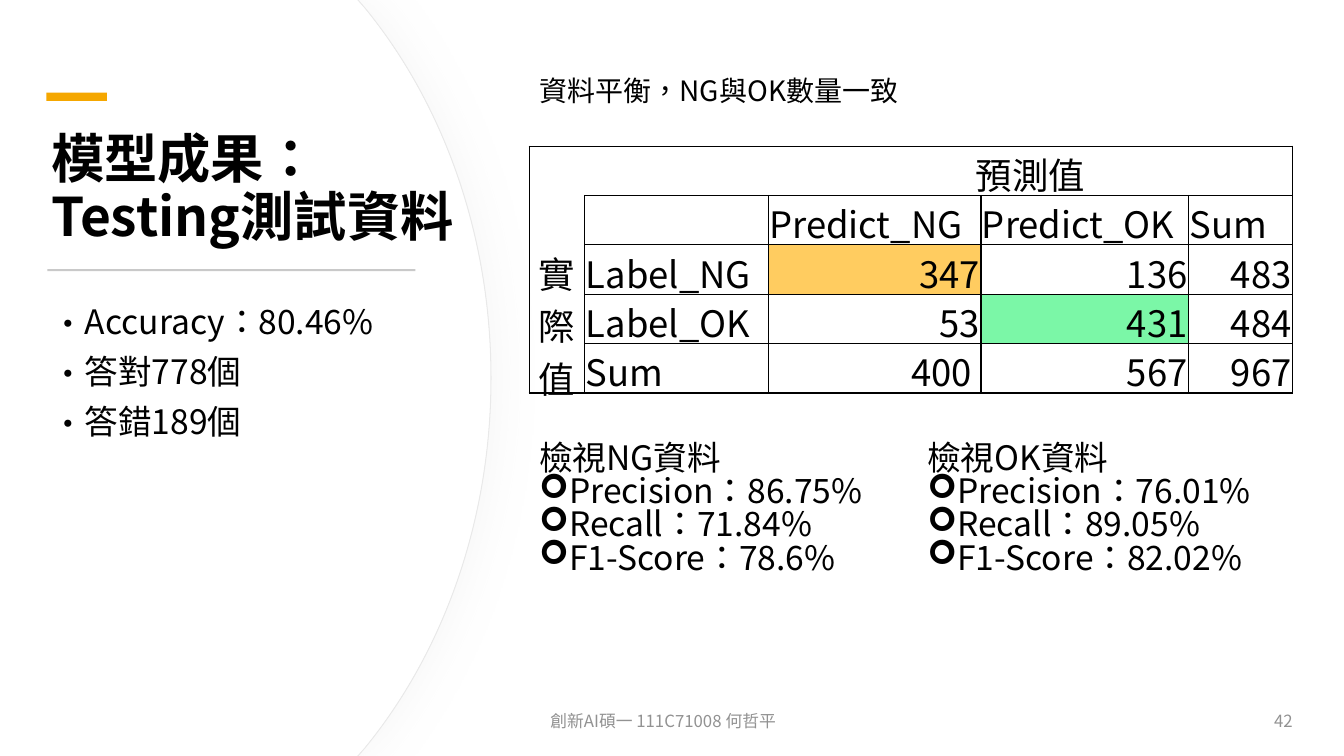
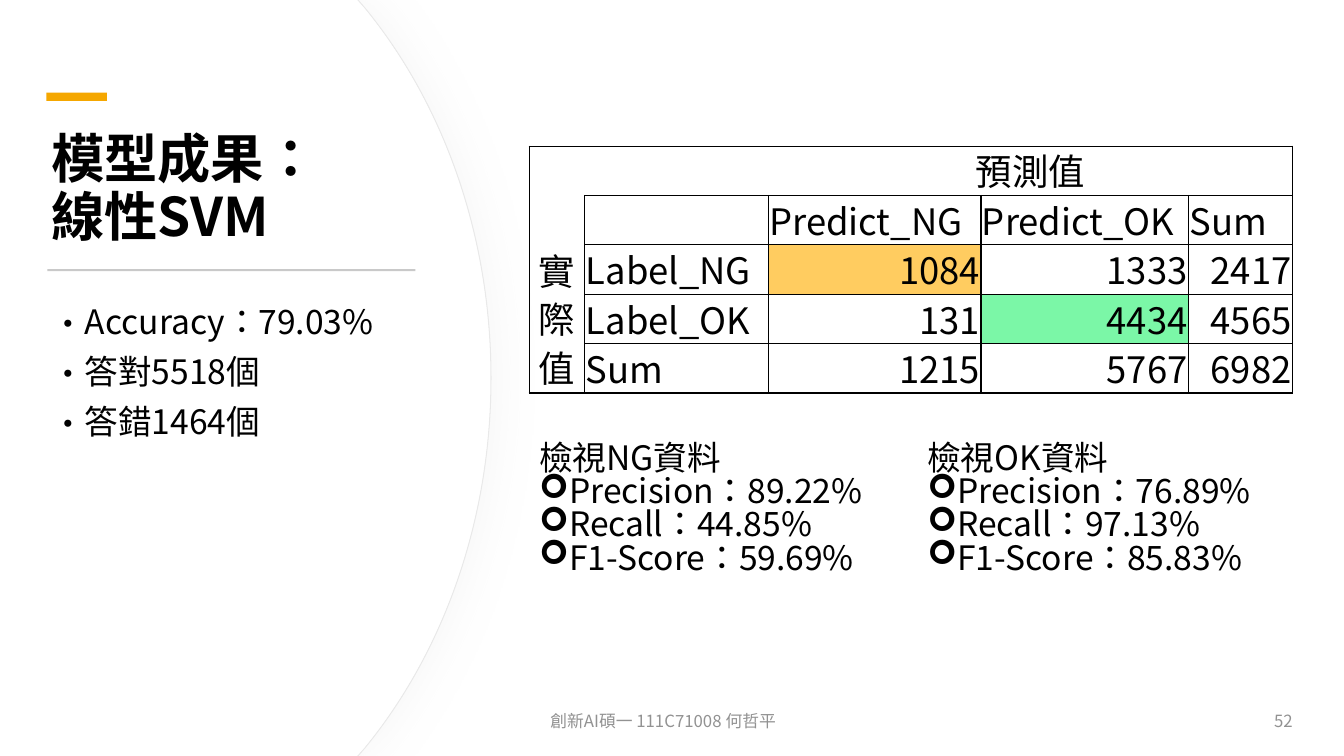
from dataclasses import dataclass
from typing import Any, Optional

from lxml import etree
from pptx import Presentation
from pptx import util as u
from pptx.dml.color import RGBColor
from pptx.enum import shapes, text
from pptx.oxml import ns

PX = 9144
FONT = "Noto Sans CJK SC"
WHITE = RGBColor(0xFF, 0xFF, 0xFF)
BLACK = RGBColor(0, 0, 0)
ORANGE = RGBColor(0xF5, 0xA7, 0x00)
RULE_GRAY = RGBColor(0xC9, 0xC9, 0xC9)
EDGE_GRAY = RGBColor(0xE9, 0xE9, 0xE9)
SHADOW_GRAY = RGBColor(0xD9, 0xD9, 0xD9)
FOOTER_GRAY = RGBColor(0x92, 0x92, 0x92)
NG_FILL = RGBColor(0xFF, 0xCC, 0x60)
OK_FILL = RGBColor(0x7B, 0xF7, 0xA7)

LEFT, CENTER, RIGHT = text.PP_ALIGN.LEFT, text.PP_ALIGN.CENTER, text.PP_ALIGN.RIGHT
TOP, MIDDLE, BOTTOM = text.MSO_ANCHOR.TOP, text.MSO_ANCHOR.MIDDLE, text.MSO_ANCHOR.BOTTOM
FOOTER = "創新AI碩一 111C71008 何哲平"
COLUMNS = (55, 182, 211, 206, 103)
ROW_HEIGHT = 49
METRICS = ("Precision", "Recall", "F1-Score")


@dataclass(frozen=True)
class Box:
    left: int
    top: int
    width: int
    height: int

    def emu(self) -> list[int]:
        return [side * PX for side in (self.left, self.top, self.width, self.height)]


@dataclass(frozen=True)
class Style:
    size: int
    color: RGBColor = BLACK
    bold: bool = False
    align: Any = LEFT
    anchor: Any = TOP
    spacing: Any = None
    before: int = 0
    bullet: str = ""
    bullet_font: str = FONT
    indent: int = 0


@dataclass(frozen=True)
class Result:
    page: int
    subject: str
    summary: tuple[str, ...]
    matrix: tuple[tuple[str, ...], ...]
    ng_scores: tuple[str, ...]
    ok_scores: tuple[str, ...]
    cell_spacing: float
    note: Optional[str] = None


TITLE = Style(38, bold=True, anchor=BOTTOM, spacing=u.Pt(41.4))
SUMMARY = Style(24, spacing=0.9, before=10, bullet="•", indent=25)
HEADING = Style(24, spacing=0.82)
SCORE = Style(24, spacing=0.82, bullet="➢", bullet_font="Wingdings")
NOTE = Style(20, anchor=MIDDLE, spacing=u.Pt(31))
FOOT = Style(12, FOOTER_GRAY, anchor=MIDDLE)
PAGE = Style(12, FOOTER_GRAY, align=RIGHT, anchor=MIDDLE)

RESULTS = (
    Result(
        42, "Testing測試資料",
        ("Accuracy：80.46%", "答對778個", "答錯189個"),
        (("347", "136", "483"), ("53", "431", "484"), ("400 ", "567", "967")),
        ("86.75%", "71.84%", "78.6%"),
        ("76.01%", "89.05%", "82.02%"),
        1.0, "資料平衡，NG與OK數量一致",
    ),
    Result(
        52, "線性SVM",
        ("Accuracy：79.03%", "答對5518個", "答錯1464個"),
        (("1084", "1333", "2417"), ("131", "4434", "4565"), ("1215", "5767", "6982")),
        ("89.22%", "44.85%", "59.69%"),
        ("76.89%", "97.13%", "85.83%"),
        0.92,
    ),
)


def apply(target: Any, formats: dict[str, Any]) -> None:
    for name, value in formats.items():
        setattr(target, name, value)


def write(paragraph: Any, words: str, style: Style) -> None:
    paragraph.text = words
    apply(paragraph, {
        "alignment": style.align,
        "line_spacing": style.spacing,
        "space_before": u.Pt(style.before),
    })
    for run in paragraph.runs:
        apply(run.font, {"name": FONT, "size": u.Pt(style.size), "bold": style.bold})
        run.font.color.rgb = style.color
        properties = run.font._element
        properties.set("lang", "zh-TW")
        properties.set("altLang", "en-US")
        etree.SubElement(properties, ns.qn("a:ea"), typeface=FONT)
    if style.bullet:
        properties = paragraph._p.get_or_add_pPr()
        properties.set("marL", str(style.indent * PX))
        properties.set("indent", str(-style.indent * PX))
        etree.SubElement(properties, ns.qn("a:buFont"), typeface=style.bullet_font)
        etree.SubElement(properties, ns.qn("a:buChar"), char=style.bullet)


def add_text(slide: Any, box: Box, lines: list[tuple[str, Style]]) -> None:
    frame = slide.shapes.add_textbox(*box.emu()).text_frame
    apply(frame, {"word_wrap": True, "vertical_anchor": lines[0][1].anchor})
    for index, (words, style) in enumerate(lines):
        paragraph = frame.add_paragraph() if index else frame.paragraphs[0]
        write(paragraph, words, style)


def add_bar(slide: Any, box: Box, color: RGBColor) -> None:
    bar = slide.shapes.add_shape(shapes.MSO_SHAPE.RECTANGLE, *box.emu())
    bar.shadow.inherit = False
    bar.fill.solid()
    bar.fill.fore_color.rgb = color
    bar.line.fill.background()


def bend(segment: Any, controls: tuple[tuple[int, int], ...], shift: int) -> None:
    segment.tag = ns.qn("a:cubicBezTo")
    for index, (x, y) in enumerate(controls):
        point = etree.Element(ns.qn("a:pt"), x=str((x + shift) * PX), y=str(y * PX))
        segment.insert(index, point)


def add_panel(slide: Any, shift: int, edged: bool) -> None:
    corners = ((355, 0), (362, 8), (487, 375), (362, 742), (355, 750))
    points = [((x + shift) * PX, y * PX) for x, y in corners]
    outline = slide.shapes.build_freeform(0, 0)
    outline.add_line_segments([*points, (0, 750 * PX)], close=True)
    panel = outline.convert_to_shape()
    segments = list(panel._element.iter(ns.qn("a:lnTo")))
    bend(segments[2], ((439, 102), (487, 232)), shift)
    bend(segments[3], ((487, 518), (439, 648)), shift)
    panel.shadow.inherit = False
    panel.fill.solid()
    panel.fill.fore_color.rgb = WHITE
    if not edged:
        panel.line.fill.background()
        return
    panel.line.color.rgb = EDGE_GRAY
    panel.line.width = u.Pt(0.75)
    effects = panel._element.spPr.find(ns.qn("a:effectLst"))
    shadow = etree.SubElement(
        effects, ns.qn("a:outerShdw"), blurRad=str(u.Pt(30)), dist=str(u.Pt(4)), dir="0")
    tint = etree.SubElement(shadow, ns.qn("a:srgbClr"), val=str(SHADOW_GRAY))
    etree.SubElement(tint, ns.qn("a:alpha"), val="20000")


def cell_sides(row: int, column: int) -> str:
    if column == 0:
        return ("LT", "LR", "LRB", "LRB", "LRB")[row]
    if row == 0:
        return "TB" if column == 1 else "RTB"
    return "LRTB"


def border(cell: Any, sides: str) -> None:
    properties = cell._tc.get_or_add_tcPr()
    for side in "LRTB":
        line = etree.SubElement(properties, ns.qn(f"a:ln{side}"), w=str(u.Pt(1)))
        if side in sides:
            fill = etree.SubElement(line, ns.qn("a:solidFill"))
            etree.SubElement(fill, ns.qn("a:srgbClr"), val=str(BLACK))
        else:
            etree.SubElement(line, ns.qn("a:noFill"))


def add_matrix(slide: Any, result: Result) -> None:
    box = Box(525, 145, sum(COLUMNS), 5 * ROW_HEIGHT)
    table = slide.shapes.add_table(5, 5, *box.emu()).table
    apply(table, {"first_row": False, "horz_banding": False})
    for column, width in zip(table.columns, COLUMNS):
        column.width = width * PX
    for row in table.rows:
        row.height = ROW_HEIGHT * PX
    labels = ("Label_NG", "Label_OK", "Sum")
    sides = ("實\v際\v值", "", "")
    grid = [
        ("", "", "預測值", "", ""),
        ("", "", "Predict_NG", "Predict_OK", "Sum"),
        *((side, label, *values) for side, label, values in zip(sides, labels, result.matrix)),
    ]
    fills = {(2, 2): NG_FILL, (3, 3): OK_FILL}
    for r, values in enumerate(grid):
        for c, words in enumerate(values):
            cell = table.cell(r, c)
            apply(cell, {
                "margin_left": PX, "margin_right": PX, "margin_top": PX,
                "margin_bottom": 0, "vertical_anchor": MIDDLE,
            })
            border(cell, cell_sides(r, c))
            if (r, c) in fills:
                cell.fill.solid()
                cell.fill.fore_color.rgb = fills[r, c]
            else:
                cell.fill.background()
            if words:
                centered = r == 0 or c == 0
                align = CENTER if centered else RIGHT if r > 1 and c > 1 else LEFT
                style = Style(26, align=align, spacing=result.cell_spacing)
                write(cell.text_frame.paragraphs[0], words, style)
    table.cell(0, 2).merge(table.cell(0, 4))
    table.cell(2, 0).merge(table.cell(4, 0))


def add_scores(slide: Any, left: int, group: str, scores: tuple[str, ...]) -> None:
    lines = [(f"檢視{group}資料", HEADING)]
    lines += [(f"{metric}：{score}", SCORE) for metric, score in zip(METRICS, scores)]
    add_text(slide, Box(left, 436, 377, 212), lines)


def add_result(deck: Any, result: Result) -> None:
    slide = deck.slides.add_slide(deck.slide_layouts[6])
    add_bar(slide, Box(0, 0, 1333, 750), WHITE)
    add_panel(slide, 0, True)
    add_panel(slide, -1, False)
    add_text(slide, Box(41, 127, 507, 123), [(f"模型成果：\v{result.subject}", TITLE)])
    add_bar(slide, Box(46, 92, 60, 8), ORANGE)
    add_bar(slide, Box(47, 267, 365, 2), RULE_GRAY)
    add_text(slide, Box(41, 298, 376, 351), [(line, SUMMARY) for line in result.summary])
    add_text(slide, Box(536, 695, 450, 40), [(FOOTER, FOOT)])
    add_text(slide, Box(1060, 695, 232, 40), [(str(result.page), PAGE)])
    add_matrix(slide, result)
    add_scores(slide, 525, "NG", result.ng_scores)
    add_scores(slide, 910, "OK", result.ok_scores)
    if result.note:
        add_text(slide, Box(525, 51, 459, 67), [(result.note, NOTE)])


def main() -> None:
    deck = Presentation()
    apply(deck, {"slide_width": 1333 * PX, "slide_height": 750 * PX})
    for result in RESULTS:
        add_result(deck, result)
    deck.save("out.pptx")


if __name__ == "__main__":
    main()
